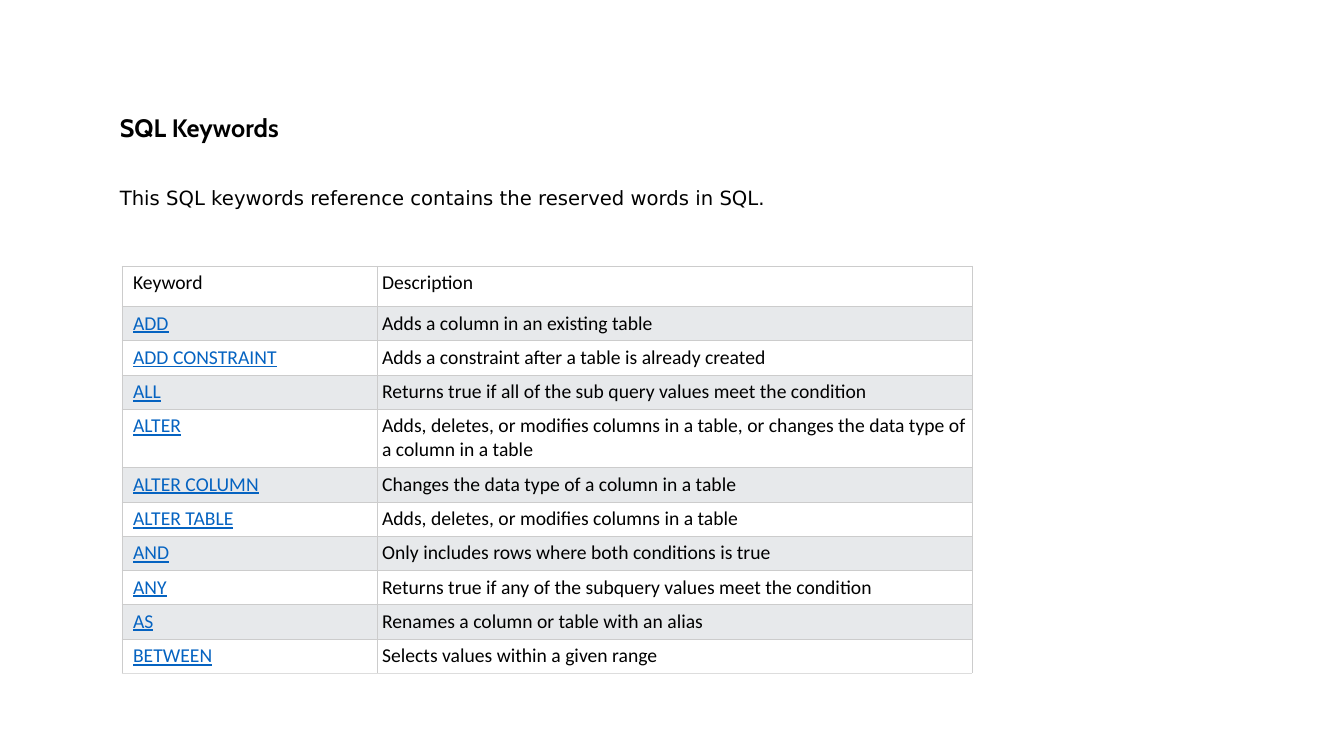
from lxml import etree
from pptx import Presentation
from pptx import util as u
from pptx.dml.color import RGBColor
from pptx.enum import text
from pptx.oxml.ns import qn

BLACK = RGBColor(0x00, 0x00, 0x00)
WHITE = RGBColor(0xFF, 0xFF, 0xFF)
STRIPE = RGBColor(0xE7, 0xE9, 0xEB)
LINK = RGBColor(0x05, 0x63, 0xC1)
BORDER = RGBColor(0xCC, 0xCC, 0xCC)
BOTTOM_BORDER = RGBColor(0xDD, 0xDD, 0xDD)

SLIDE_W, SLIDE_H = u.Inches(13.33), u.Inches(7.5)
TEXT_LEFT = 1.09
TABLE_LEFT, TABLE_TOP = 1.21, 2.64
COLUMNS = (2.53, 5.9)
HEADER_H, LINE_H, TWO_LINE_H = 0.4, 0.34, 0.58
TWO_LINE_KEYWORDS = {"ALTER"}

HEADER = ("Keyword", "Description")
KEYWORDS = [
    ("ADD", "Adds a column in an existing table"),
    ("ADD CONSTRAINT", "Adds a constraint after a table is already created"),
    ("ALL", "Returns true if all of the sub query values meet the condition"),
    ("ALTER", "Adds, deletes, or modifies columns in a table, "
              "or changes the data type of a column in a table"),
    ("ALTER COLUMN", "Changes the data type of a column in a table"),
    ("ALTER TABLE", "Adds, deletes, or modifies columns in a table"),
    ("AND", "Only includes rows where both conditions is true"),
    ("ANY", "Returns true if any of the subquery values meet the condition"),
    ("AS", "Renames a column or table with an alias"),
    ("BETWEEN", "Selects values within a given range"),
]


def set_font(p, name, size, color=BLACK, bold=False, underline=False):
    p.font.name = name
    p.font.size = u.Pt(size)
    p.font.color.rgb = color
    p.font.bold = bold
    p.font.underline = underline


def add_text(s, top, width, height, words, font, size, bold=False):
    box = s.shapes.add_textbox(*map(u.Inches, (TEXT_LEFT, top, width, height)))
    tf = box.text_frame
    tf.word_wrap = True
    tf.auto_size = text.MSO_AUTO_SIZE.SHAPE_TO_FIT_TEXT
    p = tf.paragraphs[0]
    p.text = words
    set_font(p, font, size, bold=bold)


def set_borders(cell, bottom):
    """Line all four sides; the lines must precede the fill in the cell's XML."""
    tc_pr = cell._tc.get_or_add_tcPr()
    for i, side in enumerate(("lnL", "lnR", "lnT", "lnB")):
        ln = etree.Element(qn(f"a:{side}"), w=str(u.Pt(0.6)))
        fill = etree.SubElement(ln, qn("a:solidFill"))
        color = bottom if side == "lnB" else BORDER
        etree.SubElement(fill, qn("a:srgbClr"), val=str(color))
        tc_pr.insert(i, ln)


def fill_cell(cell, words, left_margin, fill, color, bottom):
    cell.margin_left = u.Inches(left_margin)
    cell.margin_top = cell.margin_right = cell.margin_bottom = u.Inches(0.05)
    cell.fill.solid()
    cell.fill.fore_color.rgb = fill
    set_borders(cell, bottom)
    p = cell.text_frame.paragraphs[0]
    p.text = words
    set_font(p, "Calibri", 14, color, underline=color == LINK)


def add_keyword_table(s):
    rows = [HEADER] + KEYWORDS
    heights = [HEADER_H] + [TWO_LINE_H if k in TWO_LINE_KEYWORDS else LINE_H
                            for k, _ in KEYWORDS]
    frame = s.shapes.add_table(
        len(rows), len(COLUMNS),
        *map(u.Inches, (TABLE_LEFT, TABLE_TOP, sum(COLUMNS), sum(heights))))
    table = frame.table
    for column, width in zip(table.columns, COLUMNS):
        column.width = u.Inches(width)
    for i, (row, height) in enumerate(zip(rows, heights)):
        table.rows[i].height = u.Inches(height)
        fill = STRIPE if i % 2 else WHITE
        bottom = BOTTOM_BORDER if i == len(rows) - 1 else BORDER
        keyword, description = row
        fill_cell(table.cell(i, 0), keyword, 0.11, fill,
                  LINK if i else BLACK, bottom)
        fill_cell(table.cell(i, 1), description, 0.05, fill, BLACK, bottom)


def main():
    prs = Presentation()
    prs.slide_width, prs.slide_height = SLIDE_W, SLIDE_H
    s = prs.slides.add_slide(prs.slide_layouts[6])
    add_text(s, 1.07, 1.96, 0.4, "SQL Keywords", "Cabin", 18, bold=True)
    add_keyword_table(s)
    add_text(s, 1.8, 6.67, 0.34,
             "This SQL keywords reference contains the reserved words in SQL.",
             "DejaVu Sans", 14)
    prs.save("out.pptx")


if __name__ == "__main__":
    main()
